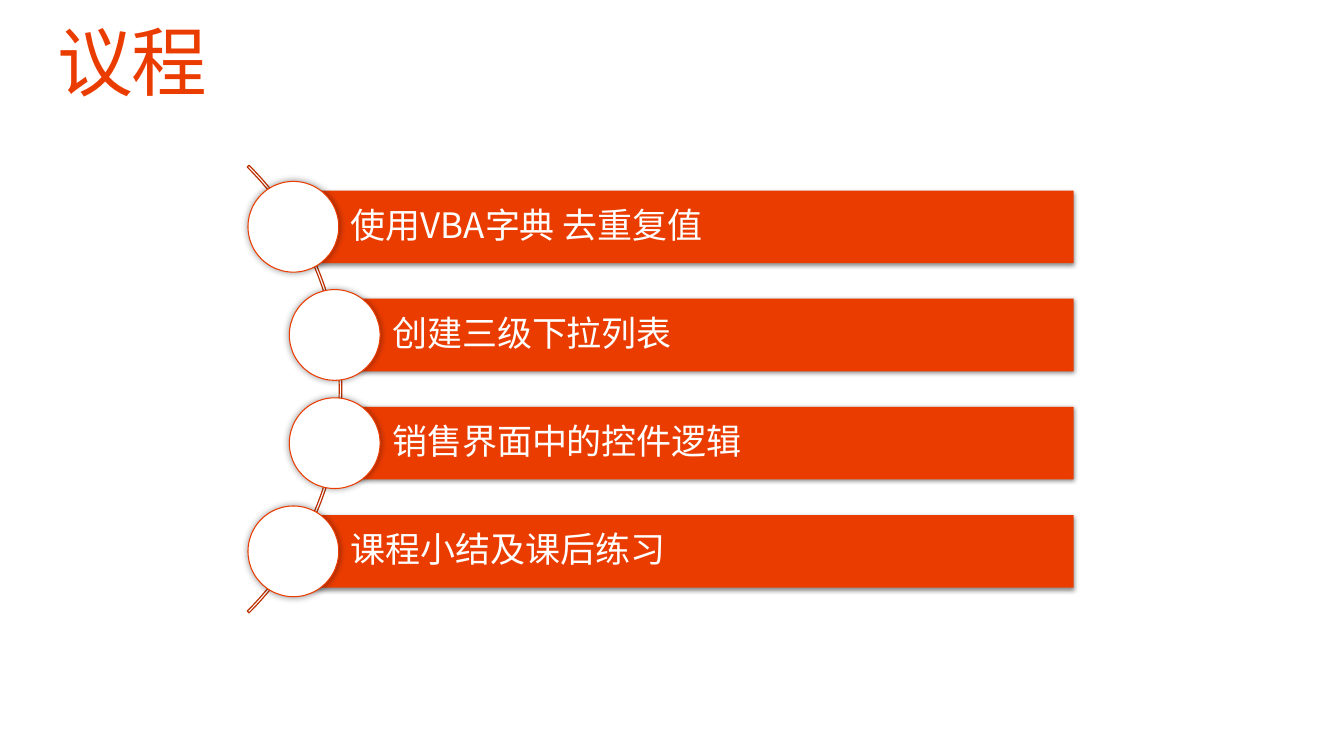
from lxml import etree
from pptx import Presentation
from pptx.dml.color import RGBColor
from pptx.enum.shapes import MSO_SHAPE as Preset
from pptx.enum.text import MSO_ANCHOR as Anchor, PP_ALIGN as Align
from pptx.oxml.ns import qn
from pptx.util import Inches, Pt

ORANGE = RGBColor(0xEB, 0x3C, 0x00)
DARK_ORANGE = RGBColor(0xBC, 0x30, 0x00)
WHITE = RGBColor(0xFF, 0xFF, 0xFF)

TOPICS = ["使用VBA字典 去重复值", "创建三级下拉列表", "销售界面中的控件逻辑", "课程小结及课后练习"]
BAR_HEIGHT = 0.72
CIRCLE_SIZE = 0.9
ARC_SIZE = 6.28


def write_text(shape, text, *, size, font, color, insets=(0, 0, 0, 0),
               anchor=Anchor.TOP, spacing=None):
    frame = shape.text_frame
    frame.word_wrap = True
    frame.vertical_anchor = anchor
    (frame.margin_left, frame.margin_top,
     frame.margin_right, frame.margin_bottom) = map(Inches, insets)
    para = frame.paragraphs[0]
    para.alignment = Align.LEFT
    para.line_spacing = 0.9
    span = para.add_run()
    span.text = text
    span.font.size = Pt(size)
    span.font.name = font
    span.font.color.rgb = color
    props = span.font._element
    etree.SubElement(props, qn("a:ea"), typeface=font)
    if spacing is not None:
        props.set("spc", str(round(spacing * 100)))


def add_shadow(shape, *, opacity, blur, distance=0, angle=0):
    """Give the shape a black outer shadow; blur and distance are in points."""
    effects = shape._element.spPr.find(qn("a:effectLst"))
    shadow = etree.SubElement(
        effects, qn("a:outerShdw"), blurRad=str(Pt(blur)), dist=str(Pt(distance)),
        dir=str(angle * 60000), algn="ctr", rotWithShape="0")
    black = etree.SubElement(shadow, qn("a:srgbClr"), val="000000")
    etree.SubElement(black, qn("a:alpha"), val=str(opacity * 1000))


def add_preset(page, preset, box, *, fill=None, line=None, line_width=0.75):
    shape = page.shapes.add_shape(preset, *map(Inches, box))
    shape.shadow.inherit = False
    if fill is None:
        shape.fill.background()
    else:
        shape.fill.solid()
        shape.fill.fore_color.rgb = fill
    if line is None:
        shape.line.fill.background()
    else:
        shape.line.color.rgb = line
        shape.line.width = Pt(line_width)
    return shape


def add_title(page, box, text):
    title = page.shapes.add_textbox(*map(Inches, box))
    write_text(title, text, size=54, font="Roboto", color=ORANGE, spacing=-1)


def add_arc(page, right, middle):
    """Draw the thin arc, from -45 to 45 degrees, that bulges to the right edge."""
    box = (right - ARC_SIZE, middle - ARC_SIZE / 2, ARC_SIZE, ARC_SIZE)
    arc = add_preset(page, Preset.BLOCK_ARC, box, line=DARK_ORANGE, line_width=0.85)
    for index, value in enumerate((189, 27, 0.004)):
        arc.adjustments[index] = value


def add_topic(page, box, text):
    """Draw a bar with its text, and a circle centred on the bar's left end."""
    left, top, width, height = box
    bar = add_preset(page, Preset.RECTANGLE, box, fill=ORANGE)
    add_shadow(bar, opacity=45, blur=3.5, distance=1.1, angle=90)
    write_text(bar, text, size=25, font="Noto Sans CJK SC", color=WHITE,
               insets=(0.57, 0.07, 0.07, 0.07), anchor=Anchor.MIDDLE)
    circle_box = (left - CIRCLE_SIZE / 2, top + (height - CIRCLE_SIZE) / 2,
                  CIRCLE_SIZE, CIRCLE_SIZE)
    circle = add_preset(page, Preset.OVAL, circle_box, fill=WHITE, line=ORANGE)
    add_shadow(circle, opacity=40, blur=5)


def add_agenda(page, box, topics):
    left, top, width, height = box
    add_arc(page, left + 0.48, top + height / 2)
    pitch = (height - BAR_HEIGHT) / (len(topics) - 1)
    for index, topic in enumerate(topics):
        indent = 0 if index in (0, len(topics) - 1) else 0.41
        add_topic(page, (left + indent, top + index * pitch,
                         width - indent, BAR_HEIGHT), topic)


def main():
    deck = Presentation()
    deck.slide_width, deck.slide_height = Inches(13.33), Inches(7.5)
    page = deck.slides.add_slide(deck.slide_layouts[6])
    add_title(page, (0.57, 0.25, 12.19, 0.82), "议程")
    add_agenda(page, (2.91, 1.89, 7.74, 3.94), TOPICS)
    deck.save("out.pptx")


if __name__ == "__main__":
    main()
